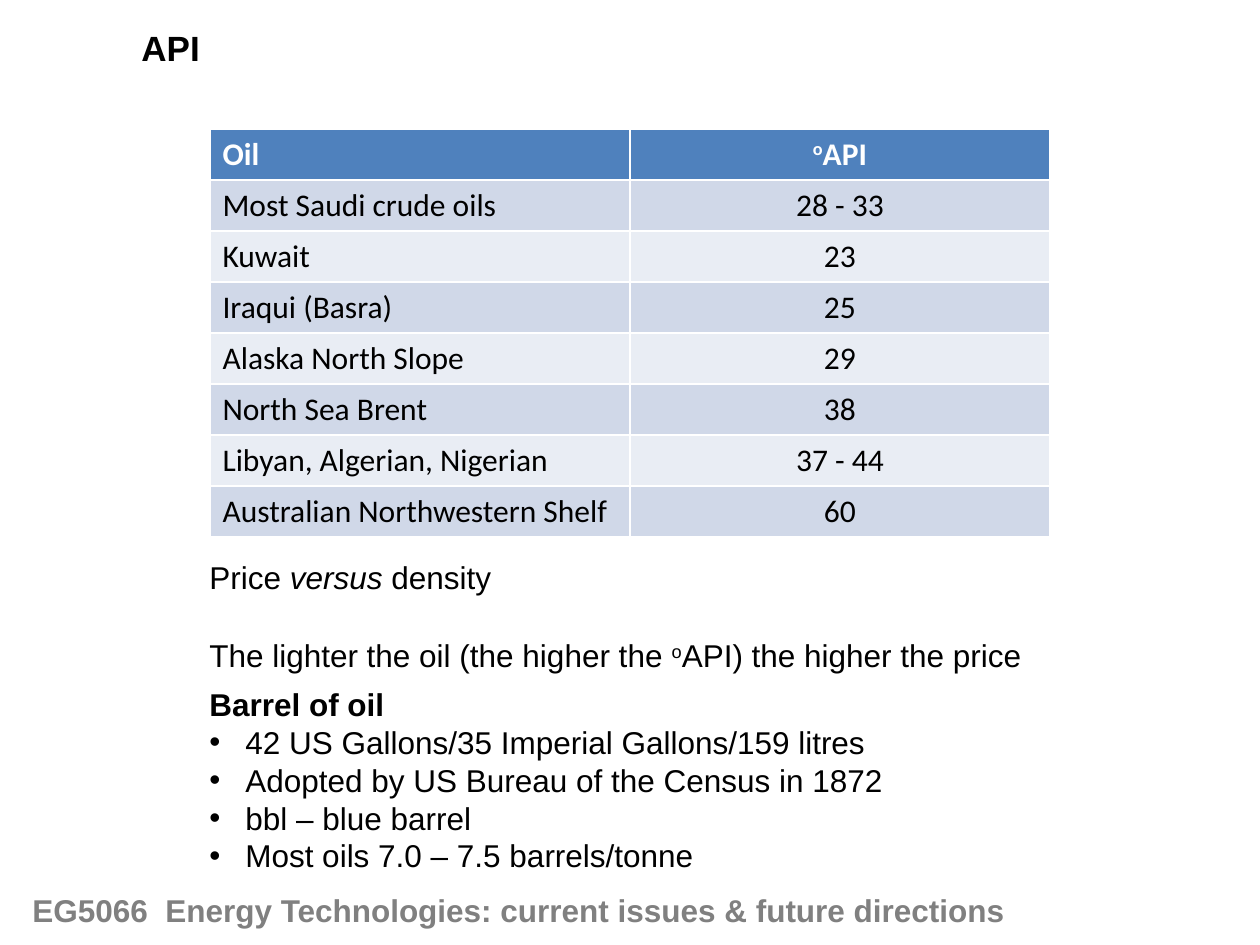
import pptx
import pptx.dml.color
import pptx.enum.text
import pptx.oxml
import pptx.oxml.ns
import pptx.util

RGBColor = pptx.dml.color.RGBColor
BLACK = RGBColor(0x00, 0x00, 0x00)
WHITE = RGBColor(0xFF, 0xFF, 0xFF)
GREY = RGBColor(0x80, 0x80, 0x80)
HEADER_BLUE = RGBColor(0x4F, 0x81, 0xBD)
BANDS = (RGBColor(0xD0, 0xD8, 0xE8), RGBColor(0xE9, 0xED, 0xF4))

# A run is (text, style); style is "", "bold", "italic" or "superscript".
OILS = [
    ("Most Saudi crude oils", "28 - 33"),
    ("Kuwait", "23"),
    ("Iraqui (Basra)", "25"),
    ("Alaska North Slope", "29"),
    ("North Sea Brent", "38"),
    ("Libyan, Algerian, Nigerian", "37 - 44"),
    ("Australian Northwestern Shelf", "60"),
]
TITLE = [("API", "bold")]
PRICE = [("Price ", ""), ("versus", "italic"), (" density", "")]
LIGHTER = [
    ("The lighter the oil (the higher the ", ""),
    ("o", "superscript"),
    ("API) the higher the price", ""),
]
BARREL_HEADING = [("Barrel of oil", "bold")]
BARREL_FACTS = [
    "42 US Gallons/35 Imperial Gallons/159 litres",
    "Adopted by US Bureau of the Census in 1872",
    "bbl – blue barrel",
    "Most oils 7.0 – 7.5 barrels/tonne",
]
FOOTER = [("EG5066  Energy Technologies: current issues & future directions", "bold")]

TABLE_LEFT, TABLE_TOP, COLUMN_WIDTH, ROW_HEIGHT = 210, 129, 420, 51
BULLET_INDENT = 36


def px(length):
    return pptx.util.Emu(round(length * 914400 / 126))


def add_runs(paragraph, runs, font_name="Arial", size=18, color=BLACK, bold=False):
    for text, style in runs:
        run = paragraph.add_run()
        run.text = text
        run.font.name = font_name
        run.font.size = pptx.util.Pt(size)
        run.font.color.rgb = color
        run.font.bold = bold or style == "bold"
        run.font.italic = style == "italic"
        if style == "superscript":
            run._r.get_or_add_rPr().set("baseline", "30000")


def add_bullet(paragraph):
    properties = paragraph._p.get_or_add_pPr()
    properties.set("marL", str(px(BULLET_INDENT)))
    properties.set("indent", str(-px(BULLET_INDENT)))
    namespace = pptx.oxml.ns.nsdecls("a")
    for element in ('buFont typeface="Arial"', 'buChar char="•"'):
        properties.append(pptx.oxml.parse_xml(f"<a:{element} {namespace}/>"))


def add_text(slide, box, runs, wrap=False, **font):
    """Add a text box holding one paragraph and return its text frame."""
    frame = slide.shapes.add_textbox(*map(px, box)).text_frame
    frame.word_wrap = wrap
    frame.auto_size = pptx.enum.text.MSO_AUTO_SIZE.SHAPE_TO_FIT_TEXT
    add_runs(frame.paragraphs[0], runs, **font)
    return frame


def add_oil_table(slide):
    header = ([("Oil", "")], [("o", "superscript"), ("API", "")])
    rows = [header] + [[[(text, "")] for text in oil] for oil in OILS]
    table = slide.shapes.add_table(
        len(rows), 2, px(TABLE_LEFT), px(TABLE_TOP),
        px(2 * COLUMN_WIDTH), px(len(rows) * ROW_HEIGHT),
    ).table
    for row_index, row in enumerate(rows):
        is_header = row_index == 0
        for column_index, runs in enumerate(row):
            cell = table.cell(row_index, column_index)
            cell.fill.solid()
            cell.fill.fore_color.rgb = HEADER_BLUE if is_header else BANDS[(row_index - 1) % 2]
            paragraph = cell.text_frame.paragraphs[0]
            if column_index == 1:
                paragraph.alignment = pptx.enum.text.PP_ALIGN.CENTER
            add_runs(paragraph, runs, font_name="Calibri",
                     color=WHITE if is_header else BLACK, bold=is_header)


def main():
    presentation = pptx.Presentation()
    presentation.slide_width, presentation.slide_height = px(1260), px(945)
    slide = presentation.slides.add_slide(presentation.slide_layouts[6])

    add_text(slide, (129, 20, 84, 55), TITLE, size=20)
    add_oil_table(slide)
    barrel = add_text(slide, (197, 679, 706, 204), BARREL_HEADING)
    for fact in BARREL_FACTS:
        paragraph = barrel.add_paragraph()
        add_bullet(paragraph)
        add_runs(paragraph, [(fact, "")])
    add_text(slide, (197, 552, 310, 50), PRICE)
    add_text(slide, (197, 630, 847, 50), LIGHTER)
    add_text(slide, (20, 885, 1082, 50), FOOTER, wrap=True, color=GREY)

    presentation.save("out.pptx")


if __name__ == "__main__":
    main()
